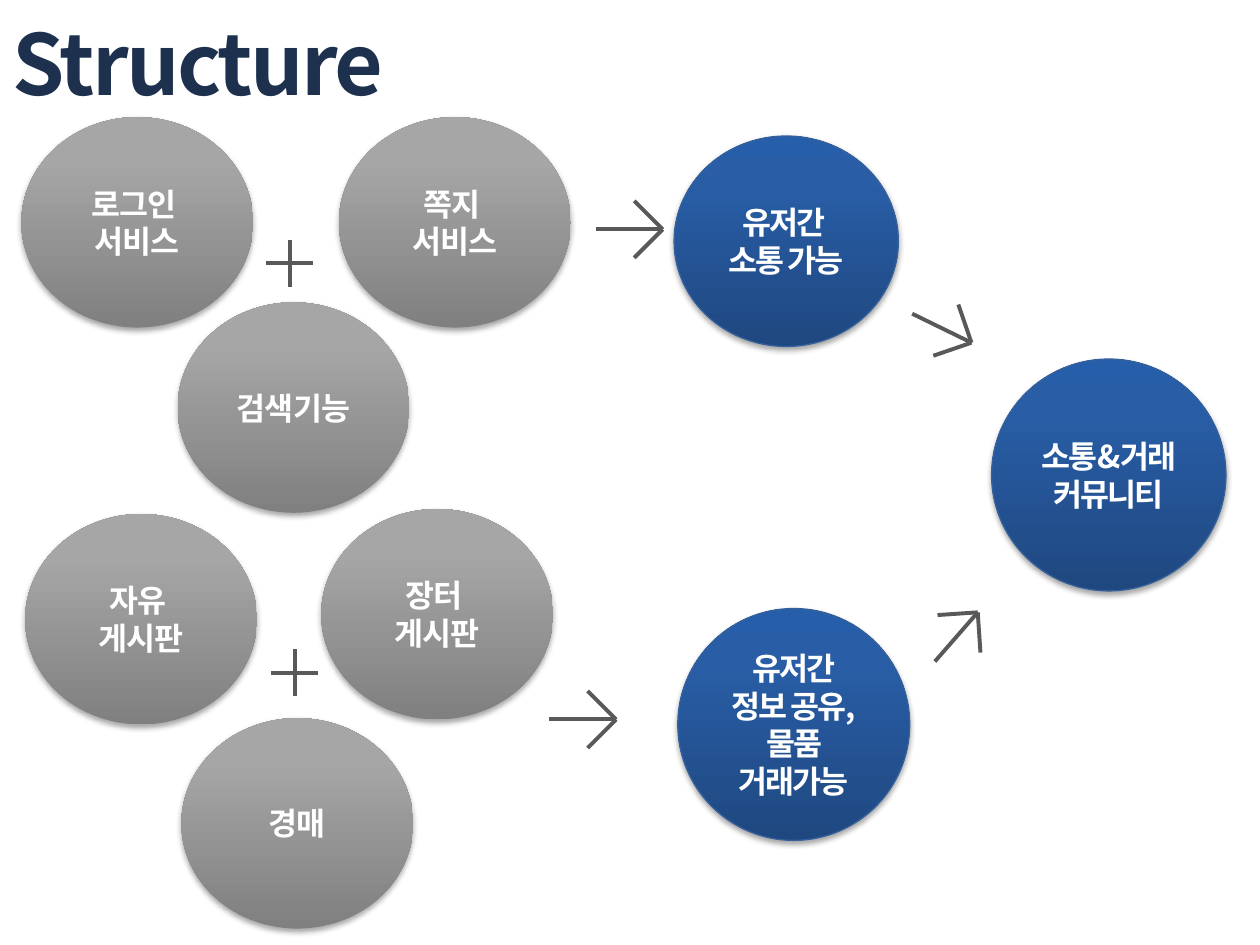
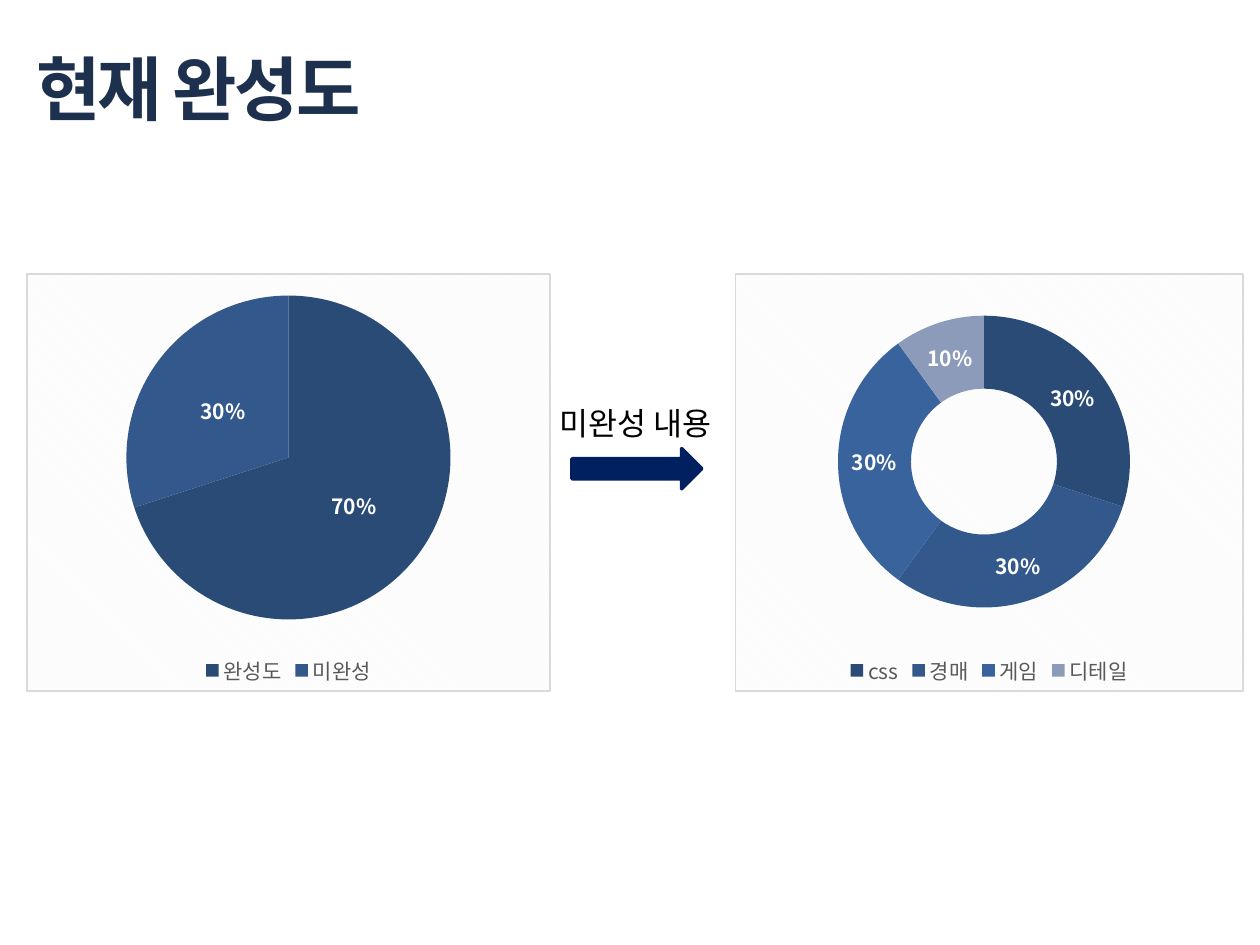
from copy import deepcopy
from math import atan2, cos, pi, sin

from lxml import etree
from pptx import Presentation
from pptx.chart.data import CategoryChartData
from pptx.dml.color import RGBColor
from pptx.enum import chart as charts, shapes, text
from pptx.oxml import ns, parse_xml
from pptx.util import Inches, Pt

FONT = "Noto Sans CJK KR"
NAVY_TITLE = RGBColor(0x1D, 0x31, 0x4E)
NAVY_ARROW = RGBColor(0x00, 0x20, 0x60)
BLUE_EDGE = RGBColor(0x35, 0x60, 0x9C)
LINE_GREY = RGBColor(0x59, 0x59, 0x59)
WHITE = RGBColor(0xFF, 0xFF, 0xFF)
BLACK = RGBColor(0x00, 0x00, 0x00)
GREY_STOPS = [(0, RGBColor(0x80, 0x80, 0x80)), (0.8, RGBColor(0xA6, 0xA6, 0xA6))]
BLUE_STOPS = [
    (0, RGBColor(0x1F, 0x48, 0x80)),
    (0.8, RGBColor(0x29, 0x5E, 0xA7)),
    (1, RGBColor(0x26, 0x5E, 0xAA)),
]
SLICE_COLORS = [
    RGBColor(0x2B, 0x4B, 0x77),
    RGBColor(0x33, 0x58, 0x8B),
    RGBColor(0x39, 0x63, 0x9D),
    RGBColor(0x8D, 0x9B, 0xBA),
]
SHADOW = (
    f'<a:outerShdw {ns.nsdecls("a")} blurRad="40000" dist="23000" dir="5400000" rotWithShape="0">'
    '<a:srgbClr val="000000"><a:alpha val="35000"/></a:srgbClr></a:outerShdw>'
)
CHART_FRAME = (
    f'<c:spPr {ns.nsdecls("c", "a")}><a:pattFill prst="dkDnDiag">'
    '<a:fgClr><a:srgbClr val="F2F2F2"/></a:fgClr><a:bgClr><a:srgbClr val="FFFFFF"/></a:bgClr>'
    '</a:pattFill><a:ln w="9525"><a:solidFill><a:srgbClr val="D9D9D9"/></a:solidFill></a:ln></c:spPr>'
)


def inches(*lengths):
    return [Inches(length) for length in lengths]


def write(shape, lines, size, color, bold=False, spacing=0, align=None):
    frame = shape.text_frame
    frame.word_wrap = True
    frame.vertical_anchor = text.MSO_ANCHOR.MIDDLE
    frame.text = "\n".join(lines)
    for para in frame.paragraphs:
        para.alignment = align
        para.font.size = Pt(size)
        para.font.bold = bold
        para.font.color.rgb = color
        para.font.name = FONT
        defaults = para._p.pPr.find(ns.qn("a:defRPr"))
        defaults.set("spc", str(round(spacing * 100)))
        etree.SubElement(defaults, ns.qn("a:ea"), typeface=FONT)


def add_title(page, box, title, size):
    write(page.shapes.add_textbox(*inches(*box)), [title], size, NAVY_TITLE, True, -1.5)


def add_circle(page, box, lines, stops, spacing, edge=None):
    circle = page.shapes.add_shape(shapes.MSO_SHAPE.OVAL, *inches(*box))
    circle.fill.gradient()
    circle.fill.gradient_angle = 90
    stop_list = circle._element.spPr.find(".//" + ns.qn("a:gsLst"))
    while len(stop_list) < len(stops):
        stop_list.append(deepcopy(stop_list[-1]))
    for stop, (position, color) in zip(circle.fill.gradient_stops, stops):
        stop.position = position
        stop.color.rgb = color
    if edge is None:
        circle.line.fill.background()
    else:
        circle.line.color.rgb = edge
        circle.line.width = Pt(0.75)
    circle.shadow.inherit = False
    circle._element.spPr.find(ns.qn("a:effectLst")).append(parse_xml(SHADOW))
    write(circle, lines, 18, WHITE, True, spacing, text.PP_ALIGN.CENTER)


def add_line(page, start, end):
    line = page.shapes.add_connector(shapes.MSO_CONNECTOR.STRAIGHT, *inches(*start, *end))
    line.line.color.rgb = LINE_GREY
    line.line.width = Pt(2.25)
    etree.SubElement(line._element.spPr, ns.qn("a:effectLst"))


def add_plus(page, center_x, center_y, arm=0.185):
    add_line(page, (center_x - arm, center_y), (center_x + arm, center_y))
    add_line(page, (center_x, center_y - arm), (center_x, center_y + arm))


def add_open_arrow(page, tail, tip, barb=0.32):
    add_line(page, tail, tip)
    back = atan2(tail[1] - tip[1], tail[0] - tip[0])
    for angle in (back - pi / 4, back + pi / 4):
        add_line(page, (tip[0] + barb * cos(angle), tip[1] + barb * sin(angle)), tip)


def add_chart(page, box, kind, values, plot_box):
    data = CategoryChartData()
    data.categories = list(values)
    data.add_series("Series 1", list(values.values()))
    chart = page.shapes.add_chart(kind, *inches(*box), data).chart
    chart.has_title = False
    chart.font.size = Pt(10)
    chart.font.name = FONT
    chart.font.color.rgb = BLACK
    chart.has_legend = True
    legend = chart.legend
    legend.position = charts.XL_LEGEND_POSITION.BOTTOM
    legend.include_in_layout = False
    legend.font.size = Pt(12)
    legend.font.name = FONT
    legend.font.color.rgb = LINE_GREY

    plot = chart.plots[0]
    plot.vary_by_categories = True
    for index, color in enumerate(SLICE_COLORS[:len(values)]):
        fill = plot.series[0].points[index].format.fill
        fill.solid()
        fill.fore_color.rgb = color
    plot.has_data_labels = True
    labels = plot.data_labels
    labels.show_value = False
    labels.show_percentage = True
    labels.number_format = "0%"
    labels.number_format_is_linked = False
    labels.font.size = Pt(12)
    labels.font.bold = True
    labels.font.name = FONT
    labels.font.color.rgb = WHITE
    if kind == charts.XL_CHART_TYPE.PIE:
        labels.position = charts.XL_LABEL_POSITION.CENTER

    space = chart._chartSpace
    space.find(ns.qn("c:chart")).addnext(parse_xml(CHART_FRAME))
    for hole in space.iter(ns.qn("c:holeSize")):
        hole.set("val", "70")
    area = space.find(".//" + ns.qn("c:plotArea"))
    for layout in area.findall(ns.qn("c:layout")):
        area.remove(layout)
    layout = etree.Element(ns.qn("c:layout"))
    manual = etree.SubElement(layout, ns.qn("c:manualLayout"))
    settings = [("layoutTarget", "inner"), ("xMode", "edge"), ("yMode", "edge")]
    for name, value in settings + list(zip("xywh", plot_box)):
        etree.SubElement(manual, ns.qn(f"c:{name}"), val=str(value))
    area.insert(0, layout)


def build_structure(page):
    add_title(page, (0, 0.02, 9.28, 0.94), "Structure", 48)
    services = [
        (0.17, 0.93, ["로그인 ", "서비스"]),
        (2.69, 0.93, ["쪽지 ", "서비스"]),
        (1.41, 2.4, ["검색기능"]),
        (0.2, 4.08, ["자유 ", "게시판"]),
        (2.55, 4.04, ["장터 ", "게시판"]),
        (1.44, 5.7, ["경매"]),
    ]
    for left, top, lines in services:
        add_circle(page, (left, top, 1.84, 1.67), lines, GREY_STOPS, -0.5)
    outcomes = [
        ((5.35, 1.08, 1.78, 1.67), ["유저간 ", "소통 가능"]),
        ((5.38, 4.83, 1.84, 1.84), ["유저간", "정보 공유,", "물품 거래가능"]),
        ((7.87, 2.85, 1.86, 1.84), ["소통&거래", "커뮤니티"]),
    ]
    for box, lines in outcomes:
        add_circle(page, box, lines, BLUE_STOPS, -1.2, BLUE_EDGE)
    add_plus(page, 2.3, 2.09)
    add_plus(page, 2.34, 5.34)
    for tail, tip in [
        ((4.73, 1.82), (5.26, 1.82)),
        ((4.36, 5.71), (4.89, 5.71)),
        ((7.24, 2.49), (7.71, 2.72)),
        ((7.42, 5.25), (7.76, 4.86)),
    ]:
        add_open_arrow(page, tail, tip)


def build_progress(page):
    add_title(page, (0.19, 0.16, 7.8, 1.07), "현재 완성도", 40)
    add_chart(page, (0.21, 2.17, 4.16, 3.32), charts.XL_CHART_TYPE.PIE,
              {"완성도": 70, "미완성": 30}, (0.19, 0.05, 0.62, 0.78))
    add_chart(page, (5.83, 2.17, 4.04, 3.32), charts.XL_CHART_TYPE.DOUGHNUT,
              {"css": 30, "경매": 30, "게임": 30, "디테일": 10}, (0.16, 0.1, 0.66, 0.7))
    arrow = page.shapes.add_shape(shapes.MSO_SHAPE.RIGHT_ARROW, *inches(4.54, 3.56, 1.03, 0.32))
    arrow.fill.solid()
    arrow.fill.fore_color.rgb = NAVY_ARROW
    arrow.line.color.rgb = NAVY_ARROW
    arrow.line.width = Pt(2)
    arrow.shadow.inherit = False
    write(page.shapes.add_textbox(*inches(4.34, 3.16, 1.92, 0.4)), ["미완성 내용"], 18, BLACK)


def main():
    deck = Presentation()
    deck.slide_width, deck.slide_height = inches(10, 7.5)
    for build in (build_structure, build_progress):
        build(deck.slides.add_slide(deck.slide_layouts[6]))
    deck.save("out.pptx")


if __name__ == "__main__":
    main()
